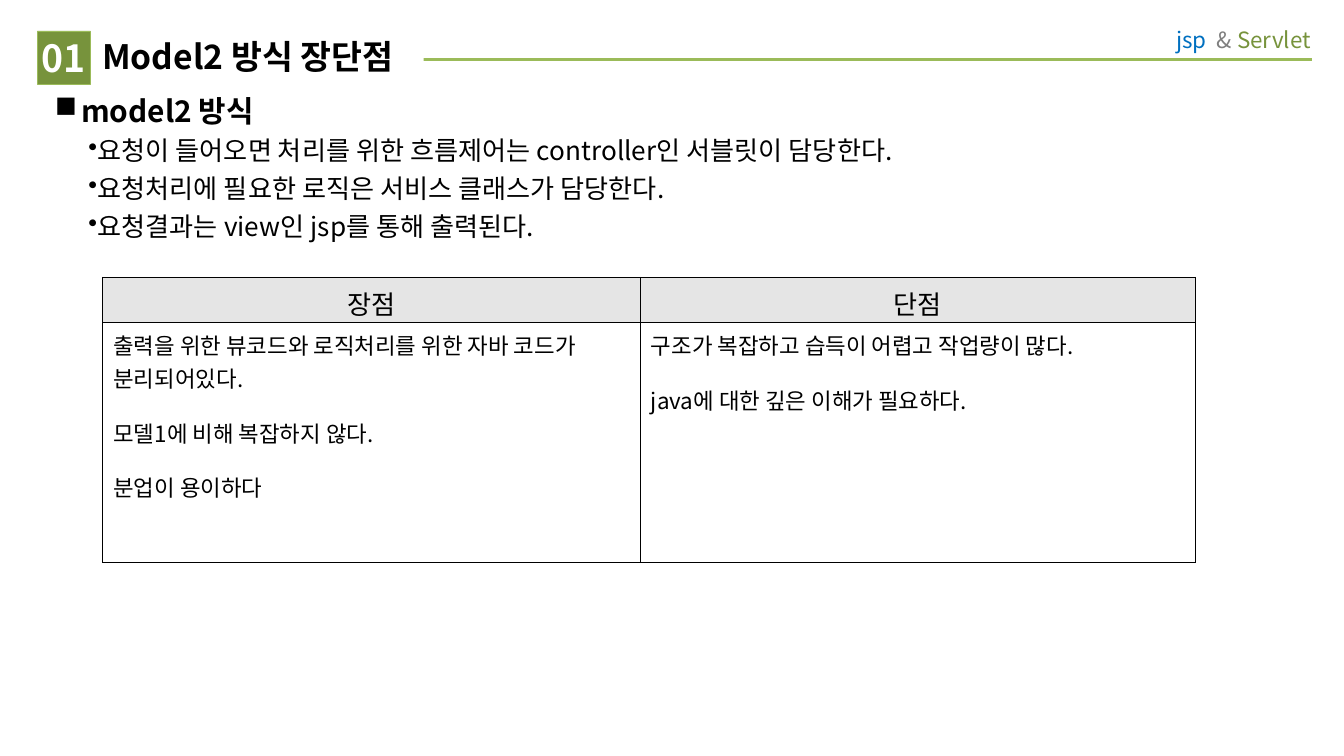
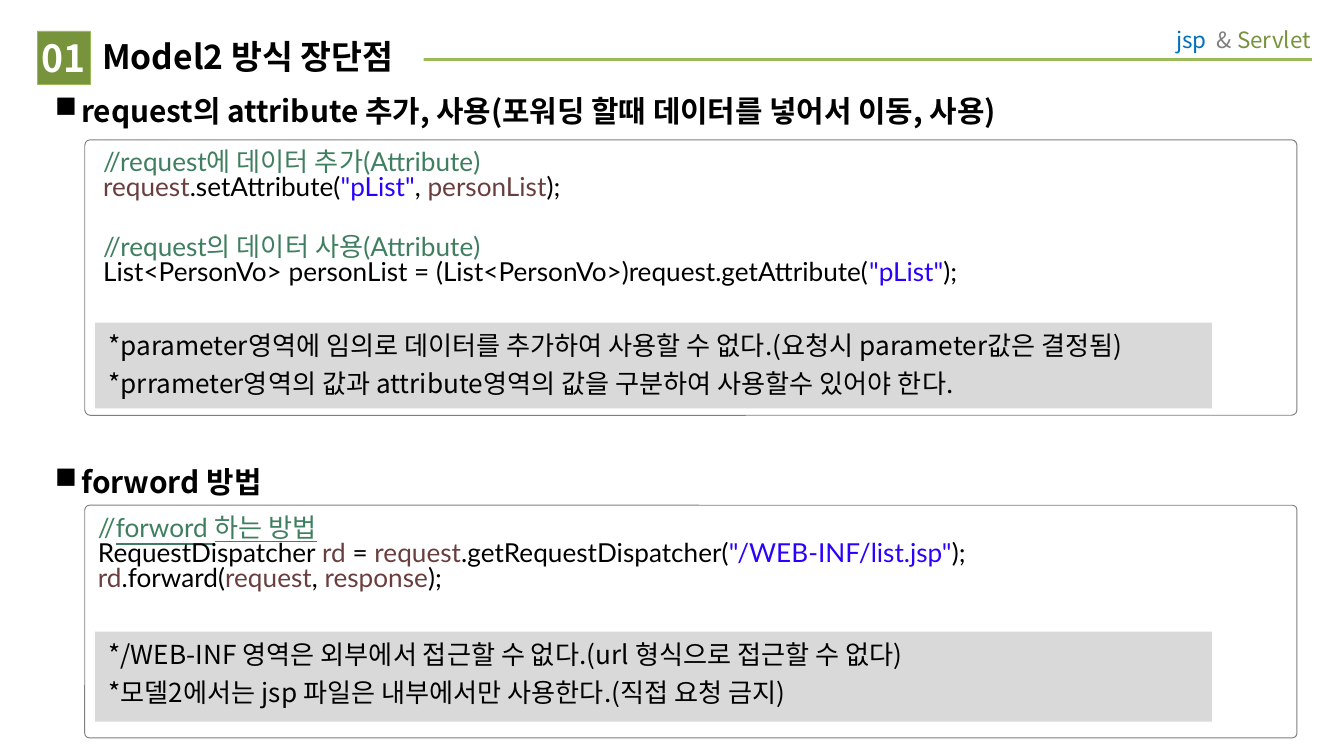
"""Build two slides on the Model2 pattern: its trade-offs and its request handling."""
from dataclasses import dataclass

from lxml import etree
from pptx import Presentation, util as u
from pptx.dml.color import RGBColor
from pptx.enum import shapes, text
from pptx.oxml.ns import qn


@dataclass(frozen=True)
class Theme:
    """Hold the colours, fonts and type sizes of the deck."""
    body_font: str = "Noto Sans CJK KR"
    code_font: str = "Lato"
    black: str = "000000"
    white: str = "FFFFFF"
    green: str = "77933C"
    rule: str = "9BBB59"
    blue: str = "0070C0"
    grey: str = "7F7F7F"
    note_fill: str = "D9D9D9"
    header_fill: str = "E5E5E5"
    comment: str = "3F7F5F"
    variable: str = "6A3E3E"
    string: str = "2A00FF"
    number_size: int = 20
    title_size: int = 18
    heading_size: int = 16
    text_size: int = 14
    small_size: int = 12


THEME = Theme()
TEXT_INSETS = (7.2, 3.6, 7.2, 3.6)
CELL_INSETS = (5.76, 3.6, 5.76, 3.6)
SECTION = ("01", "Model2 방식 장단점")
BLACK, COMMENT, VARIABLE, STRING = THEME.black, THEME.comment, THEME.variable, THEME.string

MODEL2_POINTS = (
    "요청이 들어오면 처리를 위한 흐름제어는 controller인 서블릿이 담당한다.",
    "요청처리에 필요한 로직은 서비스 클래스가 담당한다.",
    "요청결과는 view인 jsp를 통해 출력된다.",
)
TRADE_OFFS = {
    "장점": (
        "출력을 위한 뷰코드와 로직처리를 위한 자바 코드가 분리되어있다.",
        "모델1에 비해 복잡하지 않다.",
        "분업이 용이하다",
    ),
    "단점": (
        "구조가 복잡하고 습득이 어렵고 작업량이 많다.",
        "java에 대한 깊은 이해가 필요하다.",
    ),
}
ADD_ATTRIBUTE = (
    [("//request에 데이터 추가(Attribute)", COMMENT)],
    [("request", VARIABLE), (".setAttribute(", BLACK), ('"pList"', STRING),
     (", ", BLACK), ("personList", VARIABLE), (");", BLACK)],
)
USE_ATTRIBUTE = (
    [("//request의 데이터 사용(Attribute)", COMMENT)],
    [("List<PersonVo> personList = (List<PersonVo>)request.getAttribute(", BLACK),
     ('"pList"', STRING), (");", BLACK)],
)
FORWARD = (
    [("//", COMMENT), ("forword 하는 방법", COMMENT, True)],
    [("RequestDispatcher ", BLACK), ("rd", VARIABLE), (" = ", BLACK),
     ("request", VARIABLE), (".getRequestDispatcher(", BLACK),
     ('"/WEB-INF/list.jsp"', STRING), (");", BLACK)],
    [("rd", VARIABLE), (".forward(", BLACK), ("request", VARIABLE), (", ", BLACK),
     ("response", VARIABLE), (");", BLACK)],
)
ATTRIBUTE_NOTES = (
    "*parameter영역에 임의로 데이터를 추가하여 사용할 수 없다.(요청시 parameter값은 결정됨)",
    "*prrameter영역의 값과 attribute영역의 값을 구분하여 사용할수 있어야 한다.",
)
FORWARD_NOTES = (
    "*/WEB-INF 영역은 외부에서 접근할 수 없다.(url 형식으로 접근할 수 없다)",
    "*모델2에서는 jsp 파일은 내부에서만 사용한다.(직접 요청 금지)",
)


def rgb(colour):
    """Turn a hex string into a colour."""
    return RGBColor.from_string(colour)


def points(*lengths):
    """Turn numbers into lengths in points."""
    return [u.Pt(length) for length in lengths]


def prepare_frame(frame, insets=TEXT_INSETS, anchor=text.MSO_ANCHOR.TOP):
    """Set wrapping, margins and anchor of a text frame."""
    frame.word_wrap = True
    frame.vertical_anchor = anchor
    (frame.margin_left, frame.margin_top,
     frame.margin_right, frame.margin_bottom) = points(*insets)
    return frame


def next_paragraph(frame):
    """Return the unused first paragraph of a frame, or a new one."""
    first = frame.paragraphs[0]
    return frame.add_paragraph() if first.runs else first


def write(frame, content, size, colour=BLACK, bold=False, font=THEME.body_font,
          before=0, align=text.PP_ALIGN.LEFT, bullet=None):
    """Write one paragraph from a string or from coloured runs."""
    paragraph = next_paragraph(frame)
    paragraph.alignment = align
    paragraph.space_before = u.Pt(before)
    if bullet:
        set_bullet(paragraph, *bullet)
    base = paragraph.font
    base.size, base.bold, base.name = u.Pt(size), bold, font
    base.color.rgb = rgb(colour)
    defaults = paragraph._p.pPr.find(qn("a:defRPr"))
    etree.SubElement(defaults, qn("a:ea"), typeface=THEME.body_font)
    for words, run_colour, *underline in [(content, colour)] if isinstance(content, str) else content:
        run = paragraph.add_run()
        run.text = words
        if run_colour != colour:
            run.font.color.rgb = rgb(run_colour)
        if underline:
            run.font.underline = True
    return paragraph


def set_bullet(paragraph, mark, margin, indent):
    """Give a paragraph a black bullet with a hanging indent."""
    properties = paragraph._p.get_or_add_pPr()
    properties.set("marL", str(u.Pt(margin)))
    properties.set("indent", str(u.Pt(indent)))
    colour = etree.SubElement(properties, qn("a:buClr"))
    etree.SubElement(colour, qn("a:srgbClr"), val=BLACK)
    etree.SubElement(properties, qn("a:buChar"), char=mark)


def add_box(slide, place, fill=None, line=None, weight=0.5,
            kind=shapes.MSO_SHAPE.RECTANGLE):
    """Draw a flat preset shape."""
    box = slide.shapes.add_shape(kind, *points(*place))
    box.shadow.inherit = False
    if fill:
        box.fill.solid()
        box.fill.fore_color.rgb = rgb(fill)
    else:
        box.fill.background()
    if line:
        box.line.color.rgb = rgb(line)
        box.line.width = u.Pt(weight)
    else:
        box.line.fill.background()
    return box


def add_text(slide, place, insets=TEXT_INSETS):
    """Add a wrapping text box and return its frame."""
    return prepare_frame(slide.shapes.add_textbox(*points(*place)).text_frame, insets)


def add_header(slide):
    """Draw the rule, course name, section number and title."""
    rule = slide.shapes.add_connector(
        shapes.MSO_CONNECTOR.STRAIGHT, *points(51, 31.8, 702.7, 31.8))
    rule.line.color.rgb = rgb(THEME.rule)
    rule.line.width = u.Pt(1.5)
    etree.SubElement(rule._element.spPr, qn("a:effectLst"))

    course = add_text(slide, (598.3, 8, 111, 26), (7.2, 5.76, 7.2, 5.76))
    write(course, [("jsp  ", THEME.blue), ("& ", THEME.grey), ("Servlet", THEME.green)],
          THEME.small_size, THEME.blue, align=text.PP_ALIGN.RIGHT)

    number, title = SECTION
    heading = add_box(slide, (49, 16.6, 178, 28), THEME.white)
    write(prepare_frame(heading.text_frame, (5.76, 2.88, 0, 2.88)), title,
          THEME.title_size, bold=True)
    badge = add_box(slide, (20, 16.6, 28.4, 28.4), THEME.green, THEME.rule, 0.25)
    write(prepare_frame(badge.text_frame, (0, 0, 0, 0), text.MSO_ANCHOR.MIDDLE), number,
          THEME.number_size, THEME.white, bold=True, before=5, align=text.PP_ALIGN.CENTER)


def add_topic(slide, top, heading, details=()):
    """Write a square-bulleted heading with dotted details under it."""
    frame = add_text(slide, (22.3, top, 629.3, 99.4 if details else 28.8))
    write(frame, heading, THEME.heading_size, bold=True, before=4,
          bullet=("■", 14.2, -14.2))
    for detail in details:
        write(frame, detail, THEME.text_size, before=3.5, bullet=("•", 21, -3))


def add_code(slide, place, lines):
    """Write tightly set lines of coloured code."""
    frame = add_text(slide, place)
    for line in lines:
        paragraph = write(frame, line, THEME.text_size, line[0][1], font=THEME.code_font)
        paragraph.line_spacing = 0.8


def add_panel(slide, top, height):
    """Outline a code section with a rounded frame."""
    panel = add_box(slide, (45.4, top, 649.4, height), line=THEME.grey,
                    kind=shapes.MSO_SHAPE.ROUNDED_RECTANGLE)
    panel.adjustments[0] = 0.02


def add_notes_band(slide, top, height, notes):
    """Draw a grey band with remarks."""
    band = add_box(slide, (51, top, 598.3, height), THEME.note_fill)
    frame = prepare_frame(band.text_frame)
    for note in notes:
        write(frame, note, THEME.text_size, before=3.5)


def set_borders(cell, weights):
    """Draw black borders of the given weights around a cell."""
    properties = cell._tc.get_or_add_tcPr()
    for side in "LRTB":
        border = etree.SubElement(properties, qn(f"a:ln{side}"), w=str(u.Pt(weights[side])))
        fill = etree.SubElement(border, qn("a:solidFill"))
        etree.SubElement(fill, qn("a:srgbClr"), val=BLACK)


def add_trade_offs(slide):
    """Tabulate the strengths and weaknesses side by side."""
    outer, inner = 0.45, 0.34
    table = slide.shapes.add_table(2, len(TRADE_OFFS), *points(55, 148.5, 585.6, 150.3)).table
    table.first_row = table.horz_banding = False
    for column, width in zip(table.columns, points(288, 297.6)):
        column.width = width
    for row, height in zip(table.rows, points(21.6, 128.7)):
        row.height = height
    for column, (label, reasons) in enumerate(TRADE_OFFS.items()):
        for row in range(2):
            set_borders(table.cell(row, column), {
                "L": inner if column else outer, "R": outer if column else inner,
                "T": inner if row else outer, "B": outer if row else inner})
        header, body = table.cell(0, column), table.cell(1, column)
        header.fill.solid()
        header.fill.fore_color.rgb = rgb(THEME.header_fill)
        header.vertical_anchor = text.MSO_ANCHOR.MIDDLE
        write(header.text_frame, label, THEME.text_size, align=text.PP_ALIGN.CENTER)
        body.fill.background()
        (body.margin_left, body.margin_top,
         body.margin_right, body.margin_bottom) = points(*CELL_INSETS)
        for reason in reasons:
            write(body.text_frame, reason, THEME.small_size, before=12)


def add_slide(deck):
    """Add a blank slide with the shared header."""
    slide = deck.slides.add_slide(deck.slide_layouts[6])
    add_header(slide)
    return slide


def main():
    """Build and save the deck."""
    deck = Presentation()
    deck.slide_width, deck.slide_height = points(720, 405)

    overview = add_slide(deck)
    add_topic(overview, 46, "model2 방식", MODEL2_POINTS)
    add_trade_offs(overview)

    usage = add_slide(deck)
    add_topic(usage, 46, "request의 attribute 추가, 사용(포워딩 할때 데이터를 넣어서 이동, 사용)")
    add_code(usage, (48.2, 77.8, 360, 47.5), ADD_ATTRIBUTE)
    add_code(usage, (48.2, 123, 598.3, 47.5), USE_ATTRIBUTE)
    add_notes_band(usage, 172.8, 46, ATTRIBUTE_NOTES)
    add_panel(usage, 74.9, 147.6)
    add_topic(usage, 244.8, "forword 방법")
    add_code(usage, (45.4, 273.6, 646.6, 47.5), FORWARD)
    add_panel(usage, 270.7, 124.6)
    add_notes_band(usage, 338.4, 48.2, FORWARD_NOTES)

    deck.save("out.pptx")


if __name__ == "__main__":
    main()
